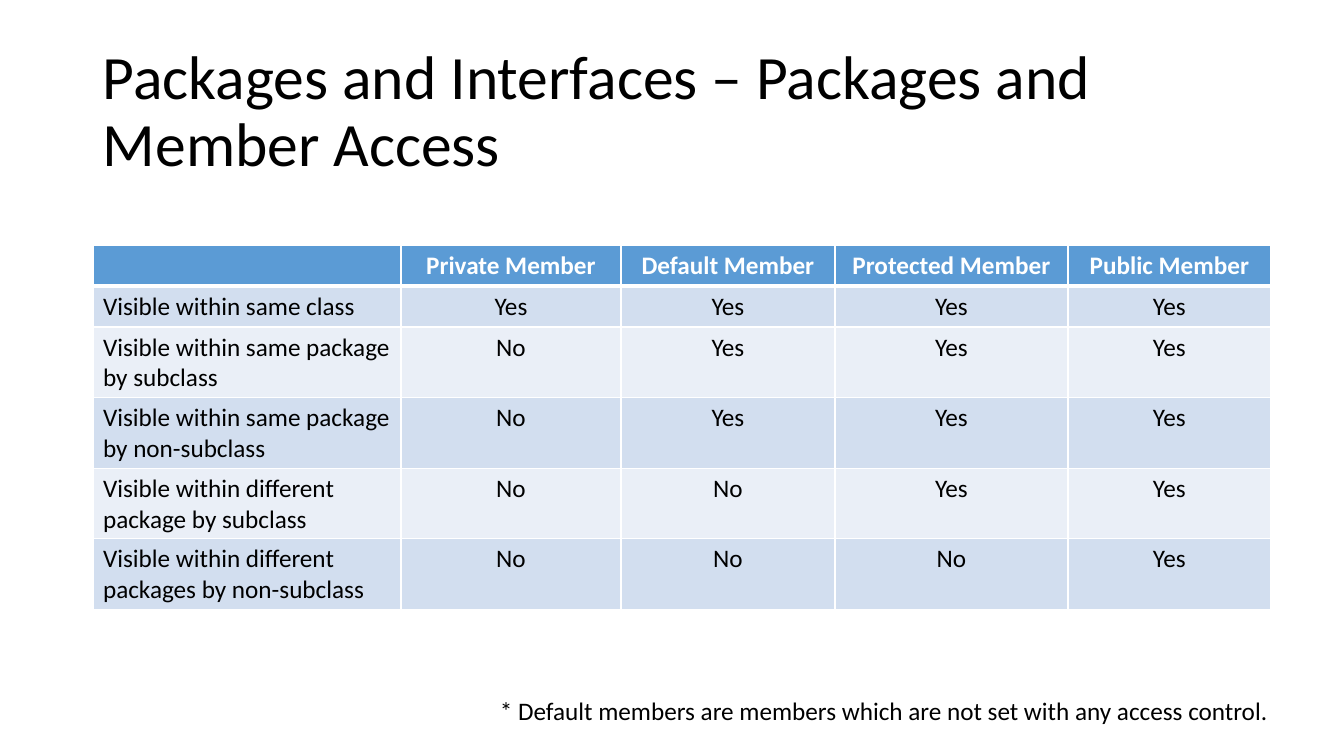
"""Build the slide on package and member access as a titled table with a footnote."""
import pptx
import pptx.util
import pptx.dml.color
import pptx.enum.text
import pptx.oxml.ns
from lxml import etree

SCALE = 914400 / 100.8
ALIGN = pptx.enum.text.PP_ALIGN
ANCHOR = pptx.enum.text.MSO_ANCHOR


def px(n):
    return pptx.util.Emu(round(n * SCALE))


def rgb(value):
    return pptx.dml.color.RGBColor.from_string(value)


def write(tf, text, size=18, font="Calibri", color="000000", bold=False,
          align=ALIGN.LEFT, spacing=None):
    p = tf.paragraphs[0]
    p.alignment = align
    p.line_spacing = spacing
    r = p.add_run()
    r.text = text
    r.font.size = pptx.util.Pt(size)
    r.font.name = font
    r.font.bold = bold
    r.font.color.rgb = rgb(color)


class Deck:
    header = "5B9BD5"
    bands = ("D2DEEF", "EAEFF7")
    white = "FFFFFF"

    def __init__(self, width, height):
        self.prs = pptx.Presentation()
        self.prs.slide_width, self.prs.slide_height = px(width), px(height)
        self.s = self.prs.slides.add_slide(self.prs.slide_layouts[6])

    def text(self, box, text, wrap=True, anchor=ANCHOR.TOP, **style):
        tf = self.s.shapes.add_textbox(*map(px, box)).text_frame
        tf.word_wrap = wrap
        tf.vertical_anchor = anchor
        write(tf, text, **style)

    def border(self, cell, side, width):
        qn = pptx.oxml.ns.qn
        ln = etree.SubElement(cell._tc.get_or_add_tcPr(), qn(f"a:ln{side}"),
                              w=str(pptx.util.Pt(width)))
        fill = etree.SubElement(ln, qn("a:solidFill"))
        etree.SubElement(fill, qn("a:srgbClr"), val=self.white)

    def table(self, left, top, widths, row_height, rows):
        frame = self.s.shapes.add_table(len(rows), len(widths), px(left), px(top),
                                        px(sum(widths)), px(row_height * len(rows)))
        table = frame.table
        table.first_row = table.horz_banding = False
        for column, width in zip(table.columns, widths):
            column.width = px(width)
        for i, row in enumerate(rows):
            table.rows[i].height = px(row_height)
            for j, text in enumerate(row):
                cell = table.cell(i, j)
                for side in "LRTB":
                    heavy = (i, side) in ((0, "B"), (1, "T"))
                    self.border(cell, side, 3 if heavy else 1)
                cell.fill.solid()
                cell.fill.fore_color.rgb = rgb(self.bands[(i - 1) % 2] if i else self.header)
                if text:
                    write(cell.text_frame, text, bold=i == 0,
                          color="000000" if i else self.white,
                          align=ALIGN.CENTER if j else ALIGN.LEFT)


ACCESS = [
    ("", "Private Member", "Default Member", "Protected Member", "Public Member"),
    ("Visible within same class", "Yes", "Yes", "Yes", "Yes"),
    ("Visible within same package by subclass", "No", "Yes", "Yes", "Yes"),
    ("Visible within same package by non-subclass", "No", "Yes", "Yes", "Yes"),
    ("Visible within different package by subclass", "No", "No", "Yes", "Yes"),
    ("Visible within different packages by non-subclass", "No", "No", "No", "Yes"),
]

deck = Deck(1344, 756)
deck.text((93, 40, 1159, 146), "Packages and Interfaces – Packages and Member Access",
          anchor=ANCHOR.MIDDLE, size=44, spacing=0.9)
deck.table(93, 245, (308, 220, 214, 233, 203), 41, ACCESS)
deck.text((490, 690, 797, 40),
          "* Default members are members which are not set with any access control.",
          wrap=False)
deck.prs.save("out.pptx")
